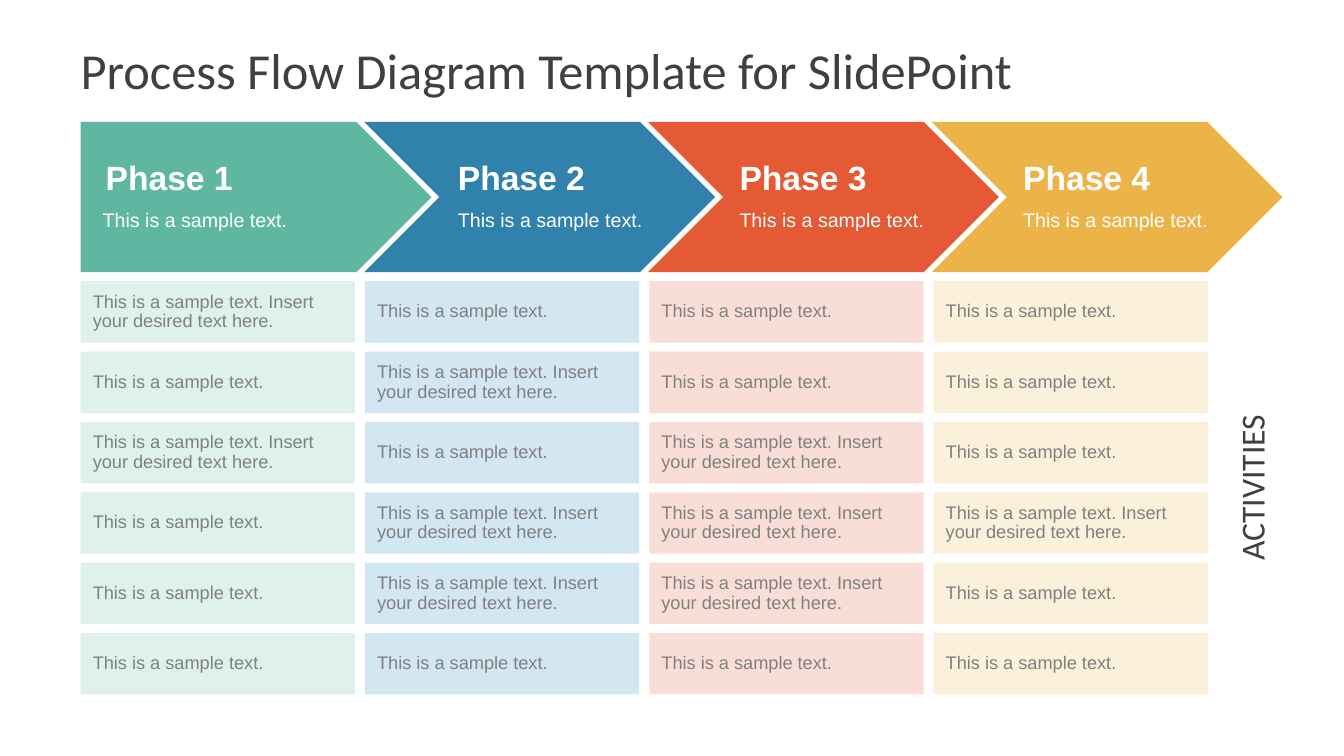
from pptx import Presentation
from pptx import util as u
from pptx.dml.color import RGBColor
from pptx.enum import shapes, text

COLORS = {
    "dark": "404040", "grey": "808080", "white": "FFFFFF",
    "green": "5FB7A2", "pale green": "DFF1EC",
    "blue": "3081AC", "pale blue": "D2E7F2",
    "red": "E35A35", "pale red": "F9DED7",
    "yellow": "ECB448", "pale yellow": "FBF0DA",
}
SHORT = "This is a sample text."
LONG = "This is a sample text. Insert your desired text here."

# Name, colour, heading inset, subtitle inset, and activities of each phase
PHASES = [
    ("Phase 1", "green", 0.15, 0.12, [LONG, SHORT, LONG, SHORT, SHORT, SHORT]),
    ("Phase 2", "blue", 0.83, 0.83, [SHORT, LONG, SHORT, LONG, LONG, SHORT]),
    ("Phase 3", "red", 0.81, 0.81, [SHORT, SHORT, LONG, LONG, LONG, SHORT]),
    ("Phase 4", "yellow", 0.81, 0.81, [SHORT, SHORT, SHORT, LONG, SHORT, SHORT]),
]


def spread(start, length, size, count):
    """Starts of equally spaced items that fill the given length."""
    step = (length - size) / (count - 1)
    return [start + i * step for i in range(count)]


def inches(box):
    return [u.Inches(value) for value in box]


def write(shape, words, size, color, font="Arial", bold=False,
          align=text.PP_ALIGN.LEFT, anchor=text.MSO_ANCHOR.MIDDLE,
          inset=(0.1, 0.05), wrap=True):
    frame = shape.text_frame
    frame.text = words
    frame.word_wrap = wrap
    frame.vertical_anchor = anchor
    frame.margin_left = frame.margin_right = u.Inches(inset[0])
    frame.margin_top = frame.margin_bottom = u.Inches(inset[1])
    para = frame.paragraphs[0]
    para.alignment = align
    span = para.runs[0].font
    span.name, span.size, span.bold = font, u.Pt(size), bold
    span.color.rgb = RGBColor.from_string(COLORS[color])
    return para


def add_block(page, kind, box, color):
    block = page.shapes.add_shape(kind, *inches(box))
    block.shadow.inherit = False
    block.fill.solid()
    block.fill.fore_color.rgb = RGBColor.from_string(COLORS[color])
    block.line.fill.background()
    return block


def add_title(page, box):
    title = page.shapes.title
    title.left, title.top, title.width, title.height = inches(box)
    write(title, "Process Flow Diagram Template for SlidePoint", 36, "dark",
          font="Calibri", inset=(0.13, 0.07))


def add_phase_arrows(page, box):
    left, top, width, height = box
    arrow_width = 3.48
    starts = spread(left, width, arrow_width, len(PHASES))
    for i, (x, phase) in enumerate(zip(starts, PHASES)):
        color = phase[1]
        kind = shapes.MSO_SHAPE.CHEVRON if i else shapes.MSO_SHAPE.PENTAGON
        add_block(page, kind, (x, top, arrow_width, height), color)
    for x, (name, _, heading_inset, subtitle_inset, _) in zip(starts, PHASES):
        heading = page.shapes.add_textbox(
            *inches((x + heading_inset, top + 0.3, 2.36, 0.5)))
        write(heading, name, 24, "white", bold=True,
              anchor=text.MSO_ANCHOR.BOTTOM)
        subtitle = page.shapes.add_textbox(
            *inches((x + subtitle_inset, top + 0.8, 2.36, 0.34)))
        write(subtitle, SHORT, 14, "white", anchor=text.MSO_ANCHOR.TOP)


def add_activity_grid(page, box):
    left, top, width, height = box
    card_width, card_height = 2.72, 0.61
    columns = spread(left, width, card_width, len(PHASES))
    for x, (_, color, _, _, activities) in zip(columns, PHASES):
        rows = spread(top, height, card_height, len(activities))
        for y, activity in zip(rows, activities):
            card = add_block(page, shapes.MSO_SHAPE.RECTANGLE,
                             (x, y, card_width, card_height), f"pale {color}")
            para = write(card, activity, 13, "grey", inset=(0.12, 0.05))
            para.line_spacing = 0.9


def add_side_label(page, box):
    label = page.shapes.add_textbox(*inches(box))
    label.rotation = 270
    write(label, "ACTIVITIES", 24, "dark", font="Calibri", wrap=False,
          align=text.PP_ALIGN.CENTER, anchor=text.MSO_ANCHOR.TOP)


def main():
    deck = Presentation()
    deck.slide_width, deck.slide_height = u.Inches(13.33), u.Inches(7.5)
    page = deck.slides.add_slide(deck.slide_layouts.get_by_name("Title Only"))
    add_title(page, (0.67, 0.3, 12, 0.78))
    add_phase_arrows(page, (0.8, 1.21, 11.92, 1.49))
    add_activity_grid(page, (0.8, 2.79, 11.18, 4.1))
    add_side_label(page, (11.58, 4.59, 1.66, 0.5))
    deck.save("out.pptx")


if __name__ == "__main__":
    main()
